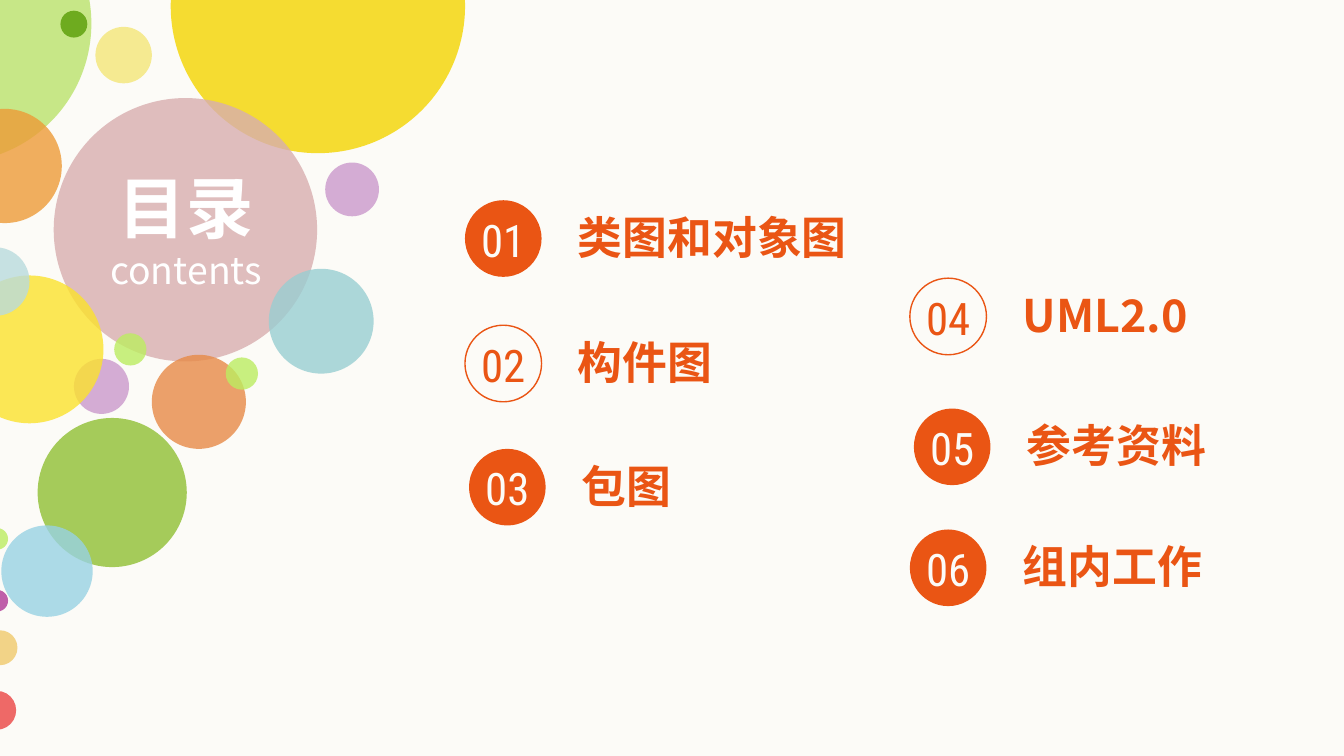
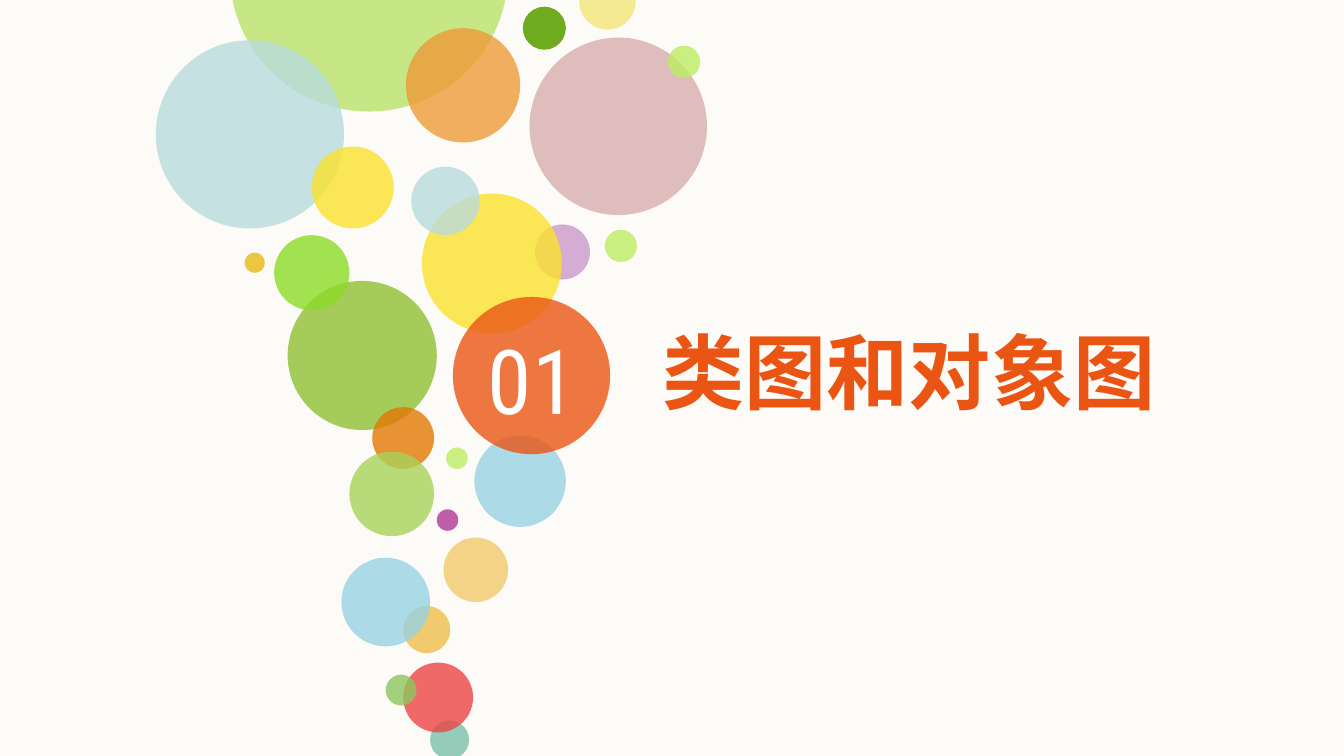
from collections import namedtuple
from dataclasses import dataclass

from lxml import etree
from pptx import Presentation
from pptx.dml.color import RGBColor
from pptx.enum import shapes, text
from pptx.oxml import ns
from pptx.util import Inches, Pt

Box = namedtuple("Box", "left top width height")
Bubble = namedtuple("Bubble", "color left top size alpha", defaults=[80])
Entry = namedtuple("Entry", "number label left top label_width filled")


@dataclass(frozen=True)
class Theme:
    background: str = "FCFBF7"
    white: str = "FFFFFF"
    accent: str = "EA5514"
    pale_green: str = "BAE36B"
    dark_green: str = "6EAB1F"
    leaf: str = "A5CB5A"
    light_leaf: str = "A9D25A"
    bright_green: str = "8CDB27"
    grass: str = "8DC65B"
    lime: str = "BCED61"
    orange: str = "ED9B38"
    deep_orange: str = "E27902"
    copper: str = "E78A47"
    cream: str = "F5EA91"
    gold: str = "F4D500"
    yellow: str = "FBE22D"
    amber: str = "E9B915"
    sand: str = "F0CA6C"
    rose: str = "D8AEAF"
    red: str = "EB4544"
    lilac: str = "CB99CC"
    purple: str = "B03896"
    teal: str = "99CED2"
    mist: str = "B9DBDD"
    sky: str = "98D2E3"
    sea: str = "7BBFAA"
    text_font: str = "Noto Sans CJK SC"
    number_font: str = "Roboto Condensed"
    section_number_size: int = 48
    section_title_size: int = 44
    contents_title_size: int = 36
    entry_size: int = 24
    subtitle_size: int = 20
    outline: float = 0.75


THEME = Theme()
SLIDE_BOX = Box(0, 0, 10, 10 * 9 / 16)

CONTENTS_BUBBLES = [
    Bubble(THEME.pale_green, -1.39, -0.86, 2.07),
    Bubble(THEME.dark_green, 0.45, 0.08, 0.2, 100),
    Bubble(THEME.orange, -0.39, 0.81, 0.85),
    Bubble(THEME.cream, 0.71, 0.2, 0.42, 100),
    Bubble(THEME.gold, 1.27, -1.05, 2.19),
    Bubble(THEME.rose, 0.4, 0.73, 1.96),
    Bubble(THEME.teal, 2, 2, 0.78),
    Bubble(THEME.lilac, 2.42, 1.21, 0.4),
    Bubble(THEME.copper, 1.13, 2.64, 0.7),
    Bubble(THEME.leaf, 0.28, 3.11, 1.11, 100),
    Bubble(THEME.lime, 1.68, 2.66, 0.24),
    Bubble(THEME.lime, 0.85, 2.48, 0.24),
    Bubble(THEME.lilac, 0.55, 2.67, 0.41),
    Bubble(THEME.yellow, -0.33, 2.05, 1.1),
    Bubble(THEME.lime, -0.1, 3.93, 0.16),
    Bubble(THEME.purple, -0.1, 4.39, 0.16),
    Bubble(THEME.sand, -0.13, 4.69, 0.26),
    Bubble(THEME.red, -0.17, 5.14, 0.29),
    Bubble(THEME.mist, -0.29, 1.84, 0.51),
    Bubble(THEME.sky, 0.01, 3.91, 0.68),
]

SECTION_BUBBLES = [
    Bubble(THEME.pale_green, 1.71, -1.24, 2.07),
    Bubble(THEME.dark_green, 3.89, 0.05, 0.32, 100),
    Bubble(THEME.mist, 1.16, 0.3, 1.4),
    Bubble(THEME.orange, 3.02, 0.21, 0.85),
    Bubble(THEME.cream, 4.31, -0.2, 0.42, 100),
    Bubble(THEME.rose, 3.94, 0.28, 1.32),
    Bubble(THEME.leaf, 2.14, 2.09, 1.11, 100),
    Bubble(THEME.lime, 4.97, 0.34, 0.24),
    Bubble(THEME.lime, 4.5, 1.71, 0.24),
    Bubble(THEME.lilac, 3.98, 1.67, 0.41),
    Bubble(THEME.yellow, 3.14, 1.44, 1.04),
    Bubble(THEME.yellow, 2.32, 1.09, 0.61),
    Bubble(THEME.bright_green, 2.04, 1.75, 0.56),
    Bubble(THEME.amber, 1.82, 1.88, 0.15),
    Bubble(THEME.lime, 3.32, 3.33, 0.16),
    Bubble(THEME.purple, 3.25, 3.79, 0.16),
    Bubble(THEME.sand, 3.3, 4, 0.48),
    Bubble(THEME.sand, 3, 4.51, 0.35, 100),
    Bubble(THEME.sea, 3.2, 5.36, 0.29),
    Bubble(THEME.red, 3, 4.93, 0.52),
    Bubble(THEME.grass, 2.87, 5.02, 0.23),
    Bubble(THEME.sky, 2.54, 4.15, 0.66),
    Bubble(THEME.mist, 3.06, 1.24, 0.51),
    Bubble(THEME.sky, 3.53, 3.24, 0.68),
    Bubble(THEME.deep_orange, 2.77, 3.03, 0.46),
    Bubble(THEME.light_leaf, 2.6, 3.36, 0.63),
]

ENTRIES = [
    Entry("01", "类图和对象图", 3.46, 1.49, 2.04, True),
    Entry("02", "构件图", 3.46, 2.42, 1.85, False),
    Entry("03", "包图", 3.49, 3.34, 1.76, True),
    Entry("04", "UML2.0", 6.77, 2.07, 1.88, False),
    Entry("05", "参考资料", 6.8, 3.04, 1.7, True),
    Entry("06", "组内工作", 6.77, 3.94, 1.7, True),
]


def inset(box, left, top, width, height):
    return Box(box.left + left, box.top + top, width, height)


def add_circle(slide, box, color, alpha=100, filled=True):
    shape = slide.shapes.add_shape(shapes.MSO_SHAPE.OVAL, *map(Inches, box))
    shape.shadow.inherit = False
    if not filled:
        shape.fill.background()
        shape.line.color.rgb = RGBColor.from_string(color)
        shape.line.width = Pt(THEME.outline)
        return
    shape.fill.solid()
    shape.fill.fore_color.rgb = RGBColor.from_string(color)
    shape.line.fill.background()
    if alpha < 100:
        fill_color = shape.fill._xPr.find(ns.qn("a:solidFill"))[0]
        etree.SubElement(fill_color, ns.qn("a:alpha"), val=str(alpha * 1000))


def add_text(slide, box, lines, color, font, centered=False):
    frame = slide.shapes.add_textbox(*map(Inches, box)).text_frame
    frame.word_wrap = True
    frame.auto_size = text.MSO_AUTO_SIZE.SHAPE_TO_FIT_TEXT
    frame.margin_left = frame.margin_right = 0
    frame.margin_top = frame.margin_bottom = 0
    for index, (wording, size, bold) in enumerate(lines):
        paragraph = frame.add_paragraph() if index else frame.paragraphs[0]
        paragraph.alignment = text.PP_ALIGN.CENTER if centered else text.PP_ALIGN.LEFT
        run = paragraph.add_run()
        run.text = wording
        run.font.size = Pt(size)
        run.font.bold = bold
        run.font.color.rgb = RGBColor.from_string(color)
        run.font.name = font
        etree.SubElement(run.font._element, ns.qn("a:ea"), typeface=font)


def draw_bubbles(slide, box, bubbles):
    for bubble in bubbles:
        place = inset(box, bubble.left, bubble.top, bubble.size, bubble.size)
        add_circle(slide, place, bubble.color, bubble.alpha)


def draw_entry(slide, box, entry):
    add_circle(slide, box, THEME.accent, filled=entry.filled)
    add_text(slide, inset(box, 0, 0.09, box.width, 0.4),
             [(entry.number, THEME.entry_size, False)],
             THEME.background if entry.filled else THEME.accent,
             THEME.number_font, centered=True)
    add_text(slide, inset(box, 0.84, 0.07, entry.label_width, 0.4),
             [(entry.label, THEME.entry_size, True)], THEME.accent, THEME.text_font)


def draw_contents(slide, box):
    draw_bubbles(slide, box, CONTENTS_BUBBLES)
    add_text(slide, inset(box, 0.63, 1.24, 1.51, 0.94),
             [("目录", THEME.contents_title_size, True),
              ("contents", THEME.subtitle_size, False)],
             THEME.white, THEME.text_font, centered=True)
    for entry in ENTRIES:
        draw_entry(slide, inset(box, entry.left, entry.top, 0.57, 0.57), entry)


def draw_section(slide, box, entry):
    draw_bubbles(slide, box, SECTION_BUBBLES)
    add_circle(slide, inset(box, 3.37, 2.21, 1.17, 1.17), THEME.accent, 80)
    add_text(slide, inset(box, 3.56, 2.42, 0.8, 0.81),
             [(entry.number, THEME.section_number_size, False)],
             THEME.white, THEME.number_font, centered=True)
    add_text(slide, inset(box, 4.93, 2.39, 4.48, 0.74),
             [(entry.label, THEME.section_title_size, True)],
             THEME.accent, THEME.text_font)


def add_slide(presentation):
    slide = presentation.slides.add_slide(presentation.slide_layouts[6])
    fill = slide.background.fill
    fill.solid()
    fill.fore_color.rgb = RGBColor.from_string(THEME.background)
    return slide


def main():
    presentation = Presentation()
    presentation.slide_width = Inches(SLIDE_BOX.width)
    presentation.slide_height = Inches(SLIDE_BOX.height)
    draw_contents(add_slide(presentation), SLIDE_BOX)
    draw_section(add_slide(presentation), SLIDE_BOX, ENTRIES[0])
    presentation.save("out.pptx")


if __name__ == "__main__":
    main()
